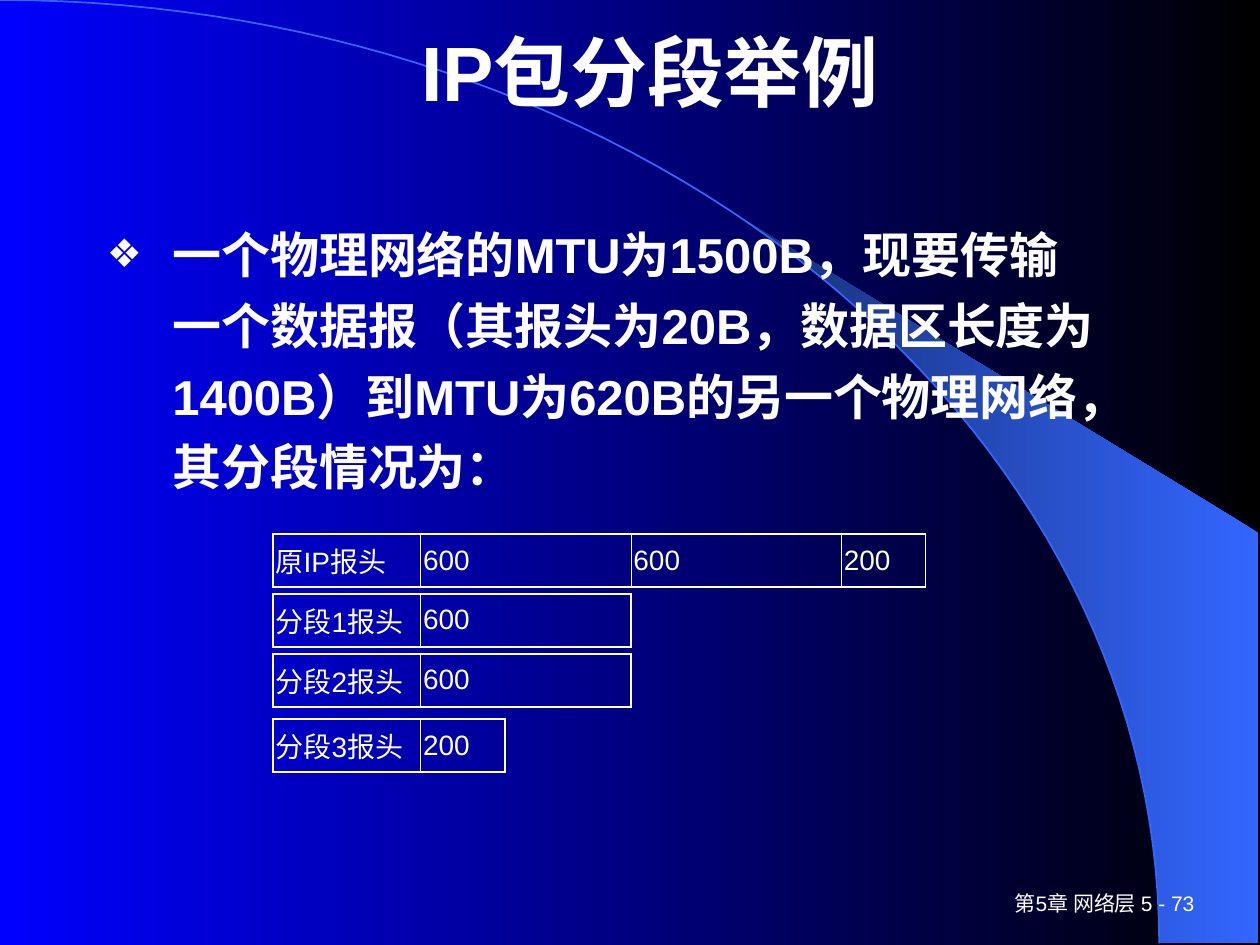
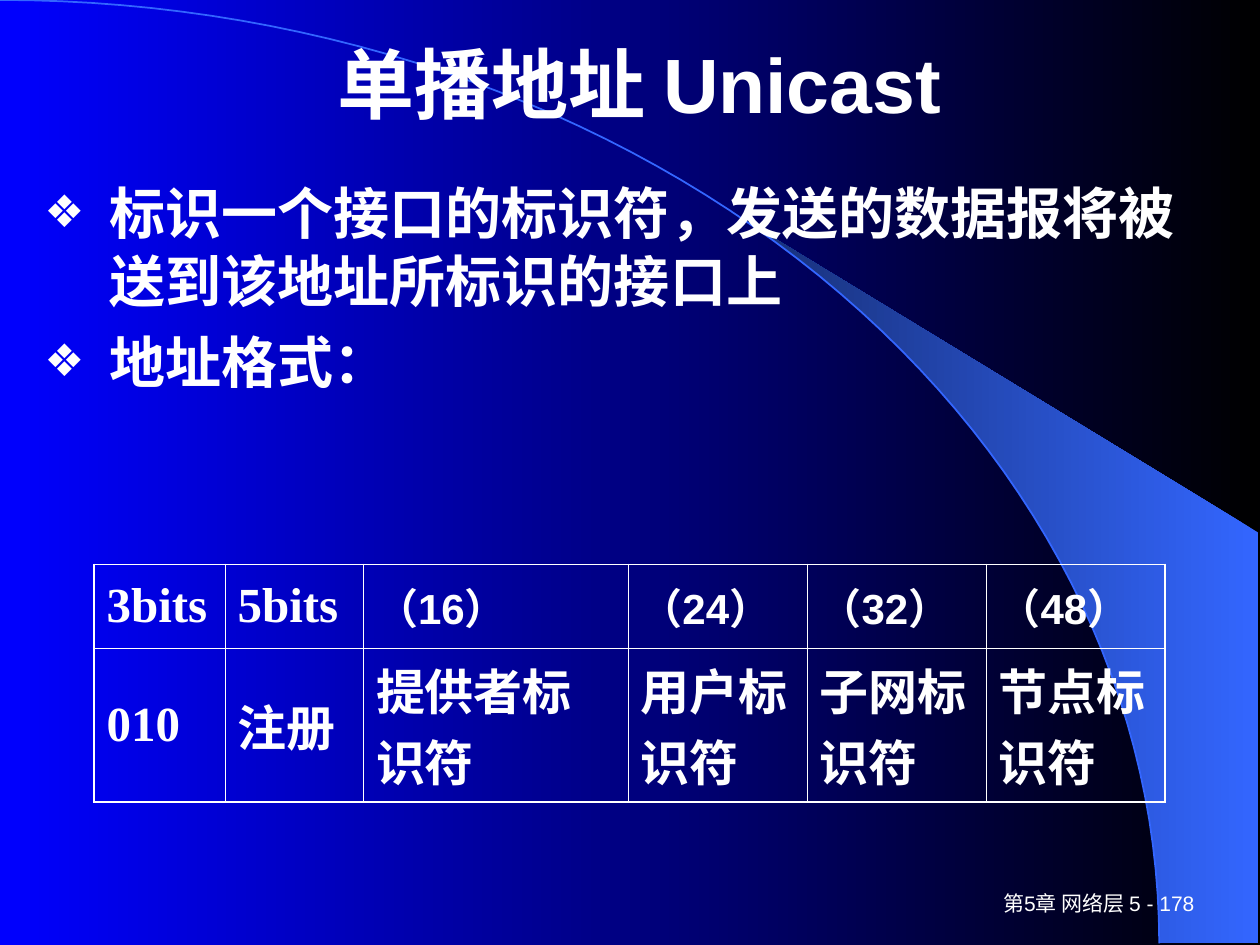
import math

from lxml import etree
from pptx import Presentation
from pptx import util as u
from pptx.dml import color
from pptx.enum import text
from pptx.oxml import ns

Cm, Pt = u.Cm, u.Pt

COLORS = {
    "text": "FFFFFF",
    "night": "000000",
    "blue": "0000FF",
    "arc": "3366FF",
    "wedge_dark": "172F75",
}
SANS, SERIF = "Arial", "Times New Roman"
FOOTER = "第5章 网络层 5 - {}"

HEADER_WIDTH = 2.97
DATA_WIDTHS = {"600": 4.24, "200": 1.7}
FRAGMENTS = [
    (10.77, ["原IP报头", "600", "600", "200"]),
    (11.97, ["分段1报头", "600"]),
    (13.18, ["分段2报头", "600"]),
    (14.5, ["分段3报头", "200"]),
]
ADDRESS_WIDTHS = [2.64, 2.79, 5.33, 3.61, 3.61, 3.61]
ADDRESS_HEIGHTS = [1.68, 3.0]
ADDRESS_ROWS = [
    ["3bits", "5bits", "（16）", "（24）", "（32）", "（48）"],
    ["010", "注册", "提供者标识符", "用户标识符", "子网标识符", "节点标识符"],
]

FRAGMENT_TABLES = [
    {
        "position": (5.51, top),
        "widths": [HEADER_WIDTH] + [DATA_WIDTHS[value] for value in row[1:]],
        "heights": [0.79],
        "rows": [row],
        "margin": 0.05,
        "style": lambda value: {"size": 16, "bold": False},
    }
    for top, row in FRAGMENTS
]


def address_style(value):
    if value.startswith("（"):
        return {"size": 24}
    return {"size": 28, "name": SERIF}


ADDRESS_TABLE = {
    "position": (1.9, 11.38),
    "widths": ADDRESS_WIDTHS,
    "heights": ADDRESS_HEIGHTS,
    "rows": ADDRESS_ROWS,
    "margin": 0.25,
    "style": address_style,
}

SLIDES = [
    {
        "title": "IP包分段举例",
        "title_box": (2.31, 0.53, 21.59, 1.8),
        "body": ["一个物理网络的MTU为1500B，现要传输一个数据报（其报头为20B，"
                 "数据区长度为1400B）到MTU为620B的另一个物理网络，其分段情况为："],
        "body_box": (1.9, 4.17, 20.52, 6.53),
        "body_size": 28,
        "line_spacing": 1.2,
        "tables": FRAGMENT_TABLES,
        "page": 73,
    },
    {
        "title": "单播地址 Unicast ",
        "title_box": (2.31, 0.53, 21.59, 2.26),
        "body": ["标识一个接口的标识符，发送的数据报将被送到该地址所标识的接口上",
                 "地址格式："],
        "body_box": (0.64, 3.48, 23.7, 5.64),
        "body_size": 32,
        "line_spacing": 1.0,
        "tables": [ADDRESS_TABLE],
        "page": 178,
    },
]

ARC_WIDTH, ARC_HEIGHT = 23.37, 19.02
WEDGE_START = 14.96
RIGHT_EDGE, WEDGE_RIGHT_TOP = 25.37, 10.74


def rgb(name):
    return color.RGBColor.from_string(COLORS[name])


def set_gradient(fill, first, last):
    fill.gradient()
    fill.gradient_angle = 180
    for stop, name, position in zip(fill.gradient_stops, (first, last), (0, 1)):
        stop.color.rgb = rgb(name)
        stop.position = position


def format_paragraph(paragraph, size, name=SANS, bold=True):
    for run in paragraph.runs:
        font = run.font
        font.size, font.name, font.bold = Pt(size), name, bold
        font.color.rgb = rgb("text")


def place(shape, box):
    shape.left, shape.top, shape.width, shape.height = map(Cm, box)


def arc_points(start_x, steps=60):
    start = math.asin(start_x / ARC_WIDTH)
    angles = [start + (math.pi / 2 - start) * step / steps for step in range(steps + 1)]
    return [(Cm(ARC_WIDTH * math.sin(angle)), Cm(ARC_HEIGHT * (1 - math.cos(angle))))
            for angle in angles]


def draw_outline(slide, points, close):
    builder = slide.shapes.build_freeform(*points[0], scale=1.0)
    builder.add_line_segments(points[1:], close=close)
    shape = builder.convert_to_shape()
    shape.shadow.inherit = False
    return shape


def add_backdrop(slide):
    corner = [(Cm(RIGHT_EDGE), Cm(ARC_HEIGHT)), (Cm(RIGHT_EDGE), Cm(WEDGE_RIGHT_TOP))]
    wedge = draw_outline(slide, arc_points(WEDGE_START) + corner, True)
    set_gradient(wedge.fill, "arc", "wedge_dark")
    wedge.line.fill.background()
    arc = draw_outline(slide, arc_points(0), False)
    arc.fill.background()
    arc.line.color.rgb = rgb("arc")
    arc.line.width = Pt(1)
    for shape in (wedge, arc):
        slide.shapes.title._element.addprevious(shape._element)


def add_bullet(paragraph):
    properties = paragraph._p.get_or_add_pPr()
    properties.set("marL", str(Cm(1.32)))
    properties.set("indent", str(-Cm(1.32)))
    bullet_color = etree.SubElement(properties, ns.qn("a:buClr"))
    etree.SubElement(bullet_color, ns.qn("a:srgbClr"), val=COLORS["text"])
    etree.SubElement(properties, ns.qn("a:buSzPct"), val="80000")
    etree.SubElement(properties, ns.qn("a:buChar"), char="❖")


def fill_title(slide, content):
    title = slide.shapes.title
    place(title, content["title_box"])
    frame = title.text_frame
    frame.text = content["title"]
    frame.auto_size = text.MSO_AUTO_SIZE.NONE
    frame.vertical_anchor = text.MSO_ANCHOR.MIDDLE
    frame.paragraphs[0].alignment = text.PP_ALIGN.CENTER
    format_paragraph(frame.paragraphs[0], 44)


def fill_body(slide, content):
    body = slide.placeholders[1]
    place(body, content["body_box"])
    frame = body.text_frame
    frame.text = "\n".join(content["body"])
    frame.auto_size = text.MSO_AUTO_SIZE.NONE
    for index, paragraph in enumerate(frame.paragraphs):
        add_bullet(paragraph)
        paragraph.line_spacing = content["line_spacing"]
        paragraph.space_before = Pt(8 if index else 0)
        format_paragraph(paragraph, content["body_size"])


def add_borders(cell, outer_sides):
    properties = cell._tc.get_or_add_tcPr()
    for side, is_outer in zip("LRTB", outer_sides):
        width = Pt(1.08 if is_outer else 0.45)
        line = etree.SubElement(properties, ns.qn(f"a:ln{side}"), w=str(width))
        fill = etree.SubElement(line, ns.qn("a:solidFill"))
        etree.SubElement(fill, ns.qn("a:srgbClr"), val=COLORS["text"])


def add_grid(slide, grid):
    rows, widths, heights = grid["rows"], grid["widths"], grid["heights"]
    box = (*grid["position"], sum(widths), sum(heights))
    table = slide.shapes.add_table(len(rows), len(widths), *map(Cm, box)).table
    table.first_row = table.horz_banding = False
    for column, width in zip(table.columns, widths):
        column.width = Cm(width)
    for row, height in zip(table.rows, heights):
        row.height = Cm(height)
    for i, values in enumerate(rows):
        for j, value in enumerate(values):
            cell = table.cell(i, j)
            cell.text_frame.text = value
            cell.margin_left = cell.margin_right = Cm(grid["margin"])
            cell.vertical_anchor = text.MSO_ANCHOR.MIDDLE
            add_borders(cell, (j == 0, j == len(widths) - 1, i == 0, i == len(rows) - 1))
            cell.fill.background()
            format_paragraph(cell.text_frame.paragraphs[0], **grid["style"](value))


def add_footer(slide, page):
    footer = slide.shapes.add_textbox(*map(Cm, (19.05, 17.78, 5.28, 0.84)))
    frame = footer.text_frame
    frame.word_wrap = True
    frame.vertical_anchor = text.MSO_ANCHOR.MIDDLE
    frame.text = FOOTER.format(page)
    frame.paragraphs[0].alignment = text.PP_ALIGN.RIGHT
    format_paragraph(frame.paragraphs[0], 12, bold=False)


def main():
    presentation = Presentation()
    presentation.slide_width, presentation.slide_height = Cm(25.4), Cm(19.05)
    set_gradient(presentation.slide_master.background.fill, "night", "blue")
    for content in SLIDES:
        slide = presentation.slides.add_slide(presentation.slide_layouts[1])
        add_backdrop(slide)
        fill_title(slide, content)
        fill_body(slide, content)
        for grid in content["tables"]:
            add_grid(slide, grid)
        add_footer(slide, content["page"])
    presentation.save("out.pptx")


if __name__ == "__main__":
    main()
